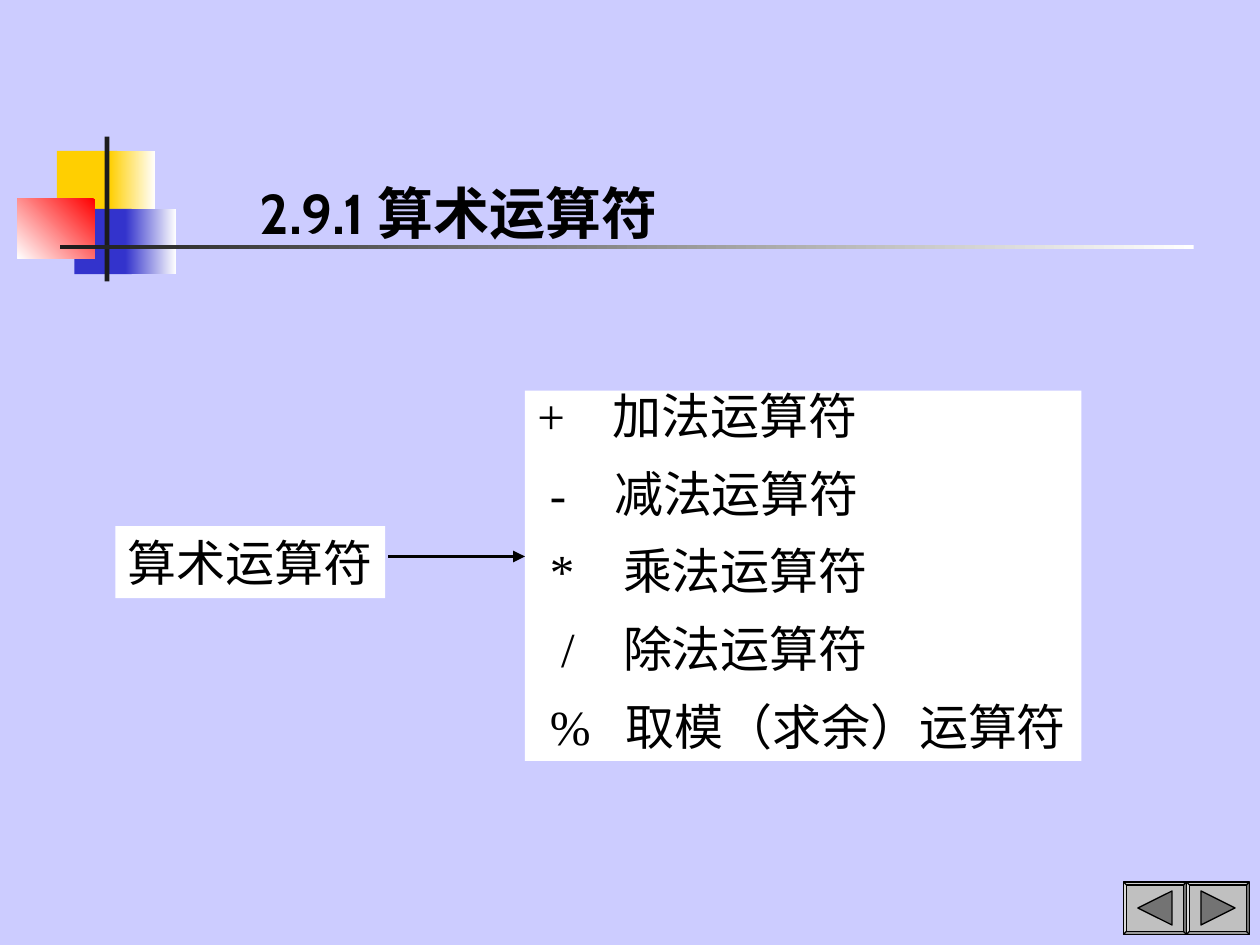
from collections import namedtuple
from dataclasses import dataclass
from lxml import etree
from pptx import Presentation
from pptx import util as u
from pptx.dml.color import RGBColor
from pptx.enum import shapes, text
from pptx.oxml.ns import qn

COLS, ROWS = 120, 90
W, H = u.Inches(10), u.Inches(7.5)
Box = namedtuple("Box", "x y w h")


@dataclass(frozen=True)
class Theme:
    back: str = "CCCCFF"
    paper: str = "FFFFFF"
    ink: str = "000000"
    rule: str = "1C1C1C"
    yellow: str = "FFCF01"
    blue: str = "3333CC"
    red: str = "FF0000"
    button: str = "C0C0C0"
    arrow: str = "737373"
    latin: str = "Times New Roman"
    head: str = "Cabin"
    cjk: str = "Noto Sans CJK SC"
    title: int = 32
    body: int = 28


T = Theme()


def rgb(c):
    return RGBColor.from_string(c)


def place(box):
    return (int(W * box.x / COLS), int(H * box.y / ROWS),
            int(W * box.w / COLS), int(H * box.h / ROWS))


def inside(box, x, y, w, h):
    return Box(box.x + x * box.w, box.y + y * box.h, w * box.w, h * box.h)


def add_box(s, box, fill, to=None, angle=180, kind=shapes.MSO_SHAPE.RECTANGLE, line=None):
    sp = s.shapes.add_shape(kind, *place(box))
    sp.shadow.inherit = False
    if to:
        sp.fill.gradient()
        sp.fill.gradient_angle = angle
        for stop, c in zip(sp.fill.gradient_stops, (fill, to)):
            stop.color.rgb = rgb(c)
    else:
        sp.fill.solid()
        sp.fill.fore_color.rgb = rgb(fill)
    if line:
        sp.line.color.rgb = rgb(line)
        sp.line.width = u.Pt(0.75)
    else:
        sp.line.fill.background()
    return sp


def style(p, size, font, bold=False):
    p.alignment = text.PP_ALIGN.LEFT
    for r in p.runs:
        r.font.size, r.font.name, r.font.bold = u.Pt(size), font, bold
        r.font.color.rgb = rgb(T.ink)
        etree.SubElement(r._r.get_or_add_rPr(), qn("a:ea"), typeface=T.cjk)


def indent(p, left, first=0):
    pPr = p._p.get_or_add_pPr()
    pPr.set("marL", str(u.Inches(left)))
    pPr.set("indent", str(u.Inches(first)))


def ornament(s, box):
    for x, y, w, h, fill, to, angle in (
        (0.25, 0.1, 0.38, 0.45, T.yellow, None, 0),
        (0.58, 0.1, 0.29, 0.45, T.paper, T.yellow, 180),
        (0.36, 0.5, 0.36, 0.45, T.blue, None, 0),
        (0.68, 0.5, 0.32, 0.45, T.paper, T.blue, 180),
        (0, 0.43, 0.49, 0.41, T.red, T.paper, 225),
        (0.55, 0, 0.03, 1, T.rule, None, 0),
        (0.27, 0.75, 7.14, 0.03, T.paper, T.rule, 180),
    ):
        add_box(s, inside(box, x, y, w, h), fill, to, angle)


def heading(s, box, words):
    sp = s.shapes.title
    sp.left, sp.top, sp.width, sp.height = place(box)
    tf = sp.text_frame
    tf.text = words
    tf.auto_size = text.MSO_AUTO_SIZE.NONE
    tf.vertical_anchor = text.MSO_ANCHOR.BOTTOM
    indent(tf.paragraphs[0], 0.21)
    style(tf.paragraphs[0], T.title, T.head, True)


def panel(s, box, lines, wrap=True):
    tf = add_box(s, box, T.paper).text_frame
    tf.word_wrap = wrap
    tf.vertical_anchor = text.MSO_ANCHOR.TOP
    tf.text = "\n".join(lines)
    for p in tf.paragraphs:
        style(p, T.body, T.latin)
    return tf


def operators(s, box, rows):
    tf = panel(s, box, [f"{sign}\t{name}" for sign, name, _, _ in rows])
    for i, (p, (_, _, start, stop)) in enumerate(zip(tf.paragraphs, rows)):
        indent(p, stop, start - stop)
        p.line_spacing = 0.8
        p.space_before = u.Pt(17.5 if i else 0)


def arrow(s, x1, x2, y):
    x, y, w, _ = place(Box(x1, y, x2 - x1, 0))
    cx = s.shapes.add_connector(shapes.MSO_CONNECTOR.STRAIGHT, x, y, x + w, y)
    cx.line.color.rgb = rgb(T.ink)
    cx.line.width = u.Pt(2.25)
    etree.SubElement(cx.line._get_or_add_ln(), qn("a:tailEnd"), type="triangle")
    etree.SubElement(cx._element.spPr, qn("a:effectLst"))


def nav_button(s, box, turn):
    sp = add_box(s, box, T.button, kind=shapes.MSO_SHAPE.BEVEL, line=T.ink)
    sp.adjustments[0] = 0.06
    tri = add_box(s, inside(box, 0.23, 0.17, 0.54, 0.65), T.arrow,
                  kind=shapes.MSO_SHAPE.ISOSCELES_TRIANGLE, line=T.ink)
    tri.rotation = turn


def main():
    prs = Presentation()
    prs.slide_width, prs.slide_height = W, H
    s = prs.slides.add_slide(prs.slide_layouts[5])
    s.background.fill.solid()
    s.background.fill.fore_color.rgb = rgb(T.back)
    ornament(s, Box(1.65, 13, 15.12, 13.8))
    heading(s, Box(21, 16, 53, 8), "2.9.1 算术运算符")
    panel(s, Box(11, 50.12, 25.68, 6.85), ["算术运算符"], wrap=False)
    operators(s, Box(50, 37.2, 53, 35.28), (
        ("+", "加法运算符", 0, 0.6),
        ("-", "减法运算符", 0.1, 0.61),
        ("*", "乘法运算符", 0.1, 0.68),
        ("/", "除法运算符", 0.19, 0.68),
        ("%", "取模（求余）运算符", 0.1, 0.7),
    ))
    arrow(s, 37, 50, 53)
    for x, turn in ((113, 90), (107, 270)):
        nav_button(s, Box(x, 84, 6, 5), turn)
    prs.save("out.pptx")


if __name__ == "__main__":
    main()
